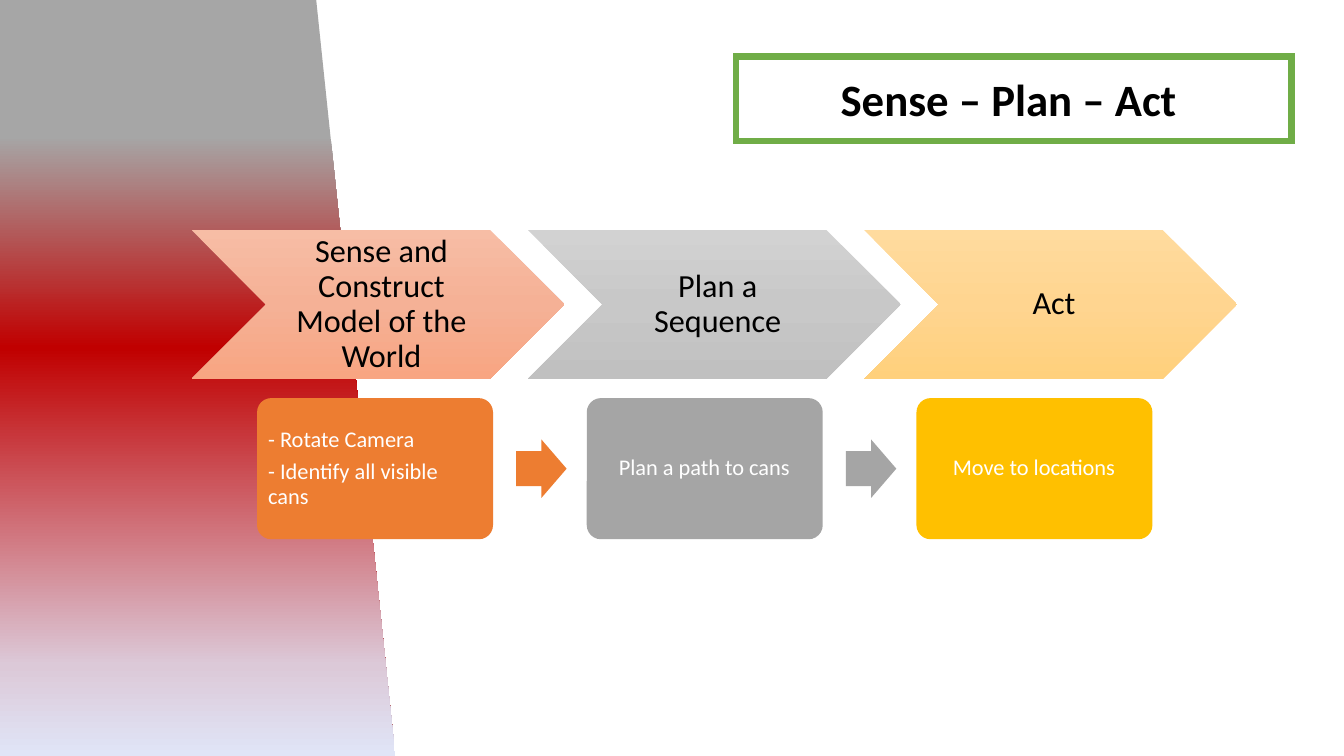
from dataclasses import dataclass

import pptx
import pptx.dml.color
import pptx.enum.shapes
import pptx.enum.text
import pptx.oxml
import pptx.oxml.ns
import pptx.util
from pptx.util import Inches

SHAPE = pptx.enum.shapes.MSO_SHAPE
ALIGN = pptx.enum.text.PP_ALIGN
MIDDLE = pptx.enum.text.MSO_ANCHOR.MIDDLE

COLORS = {
    "black": "000000",
    "white": "FFFFFF",
    "green": "70AD47",
    "orange": "ED7D31",
    "gray": "A5A5A5",
    "gold": "FFC000",
}
WEDGE_STOPS = [(18, "A6A6A6"), (46, "C00000"), (88, "DCC9D8"), (100, "E0E5F7")]
PHASE_SHADES = {
    "orange": [(0, "F7BDA5"), (50, "F5B196"), (100, "F8A582")],
    "gray": [(0, "D2D2D2"), (50, "C8C8C8"), (100, "C0C0C0")],
    "gold": [(0, "FFDB9E"), (50, "FFD590"), (100, "FFD07C")],
}
FONT = "Calibri"
PHASE_LEFT, PHASE_TOP, PHASE_PITCH = 1.9, 2.28, 3.335
TASK_LEFT, TASK_TOP, TASK_PITCH = 2.55, 3.95, 3.27


@dataclass
class Phase:
    name: str
    tasks: list[str]
    color: str
    task_align: int = ALIGN.CENTER


PHASES = [
    Phase("Sense and Construct Model of the World",
          ["- Rotate Camera", "- Identify all visible cans"], "orange", ALIGN.LEFT),
    Phase("Plan a Sequence", ["Plan a path to cans"], "gray"),
    Phase("Act", ["Move to locations"], "gold"),
]


def rgb(name: str) -> pptx.dml.color.RGBColor:
    return pptx.dml.color.RGBColor.from_string(COLORS[name])


def add_plain_shape(slide, kind, left: float, top: float, width: float, height: float):
    """Add a preset shape without outline or shadow."""
    shape = slide.shapes.add_shape(
        kind, Inches(left), Inches(top), Inches(width), Inches(height))
    shape.shadow.inherit = False
    shape.line.fill.background()
    return shape


def fill_solid(shape, color: str) -> None:
    shape.fill.solid()
    shape.fill.fore_color.rgb = rgb(color)


def fill_gradient(shape, stops: list[tuple[int, str]], angle: int) -> None:
    """Fill with stops given in percent; the angle runs clockwise in degrees."""
    shape.fill.gradient()
    gradient = shape._element.spPr.find(pptx.oxml.ns.qn("a:gradFill"))
    stop_list = gradient.find(pptx.oxml.ns.qn("a:gsLst"))
    for default_stop in list(stop_list):
        stop_list.remove(default_stop)
    for percent, color in stops:
        stop_list.append(pptx.oxml.parse_xml(
            f'<a:gs {pptx.oxml.ns.nsdecls("a")} pos="{percent * 1000}">'
            f'<a:srgbClr val="{color}"/></a:gs>'))
    gradient.find(pptx.oxml.ns.qn("a:lin")).set("ang", str(angle * 60000))


def write_run(paragraph, text: str, size: float, color: str, bold: bool = False) -> None:
    run = paragraph.add_run()
    run.text = text
    run.font.name = FONT
    run.font.size = pptx.util.Pt(size)
    run.font.bold = bold
    run.font.color.rgb = rgb(color)


def add_label(slide, box: tuple[float, float, float, float],
              insets: tuple[float, float, float, float], lines: list[str],
              size: float, color: str, align: int) -> None:
    frame = slide.shapes.add_textbox(*map(Inches, box)).text_frame
    frame.word_wrap = True
    frame.vertical_anchor = MIDDLE
    frame.margin_left, frame.margin_top, frame.margin_right, frame.margin_bottom = map(
        Inches, insets)
    for index, line in enumerate(lines):
        paragraph = frame.add_paragraph() if index else frame.paragraphs[0]
        paragraph.alignment = align
        paragraph.line_spacing = 0.9
        paragraph.space_after = pptx.util.Pt(size * 0.35)
        write_run(paragraph, line, size, color)


def format_title(slide) -> None:
    title = slide.shapes.title
    title.left, title.top = Inches(7.3), Inches(0.56)
    title.width, title.height = Inches(5.51), Inches(0.84)
    fill_solid(title, "white")
    title.line.color.rgb = rgb("green")
    title.line.width = pptx.util.Pt(4.5)
    outline = title._element.spPr.find(pptx.oxml.ns.qn("a:ln"))
    outline.append(pptx.oxml.parse_xml(
        f'<a:miter {pptx.oxml.ns.nsdecls("a")} lim="800000"/>'))
    frame = title.text_frame
    frame.word_wrap = True
    frame.auto_size = pptx.enum.text.MSO_AUTO_SIZE.NONE
    frame.vertical_anchor = MIDDLE
    frame.paragraphs[0].alignment = ALIGN.CENTER
    write_run(frame.paragraphs[0], "Sense – Plan – Act ", 32, "black", bold=True)


def add_wedge(slide) -> None:
    wedge = add_plain_shape(
        slide, SHAPE.FLOWCHART_MANUAL_INPUT, -1.79, 1.79, 7.5, 3.92)
    wedge.rotation = 90
    fill_gradient(wedge, WEDGE_STOPS, 0)


def add_phase(slide, phase: Phase, index: int) -> None:
    left = PHASE_LEFT + index * PHASE_PITCH
    chevron = add_plain_shape(slide, SHAPE.CHEVRON, left, PHASE_TOP, 3.7, 1.48)
    fill_gradient(chevron, PHASE_SHADES[phase.color], 90)
    add_label(slide, (left + 0.74, PHASE_TOP, 2.22, 1.48), (0.1, 0.03, 0.03, 0.03),
              [phase.name], 23, "black", ALIGN.CENTER)


def add_task_card(slide, phase: Phase, index: int) -> None:
    left = TASK_LEFT + index * TASK_PITCH
    card = add_plain_shape(slide, SHAPE.ROUNDED_RECTANGLE, left, TASK_TOP, 2.34, 1.4)
    card.adjustments[0] = 0.1
    fill_solid(card, phase.color)
    add_label(slide, (left + 0.04, TASK_TOP + 0.04, 2.25, 1.32), (0.07,) * 4,
              phase.tasks, 16, "white", phase.task_align)
    if index < len(PHASES) - 1:
        arrow = add_plain_shape(
            slide, SHAPE.RIGHT_ARROW, left + 2.57, TASK_TOP + 0.41, 0.5, 0.58)
        arrow.adjustments[0] = 0.6
        fill_solid(arrow, phase.color)


def main() -> None:
    deck = pptx.Presentation()
    deck.slide_width, deck.slide_height = Inches(13.33), Inches(7.5)
    slide = deck.slides.add_slide(deck.slide_layouts.get_by_name("Title Only"))
    format_title(slide)
    add_wedge(slide)
    for index, phase in enumerate(PHASES):
        add_phase(slide, phase, index)
    for index, phase in enumerate(PHASES):
        add_task_card(slide, phase, index)
    deck.save("out.pptx")


if __name__ == "__main__":
    main()
